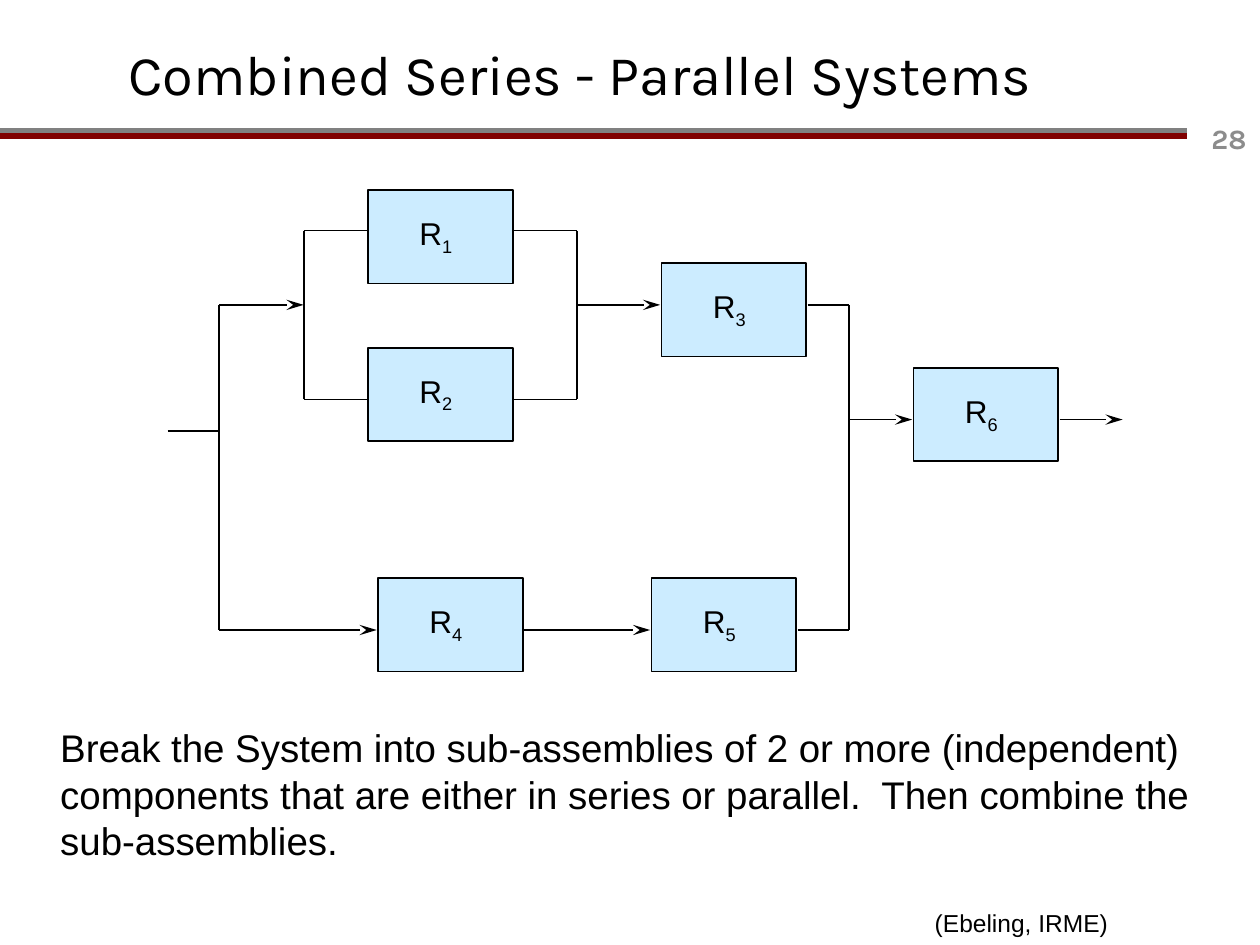
from pptx import Presentation, util as u
from pptx.dml.color import RGBColor
from pptx.enum import shapes, text
from pptx.oxml.ns import qn
from lxml import etree

# Content
TITLE = "Combined Series - Parallel Systems"
PAGE = "28"
ADVICE = ("Break the System into sub-assemblies of 2 or more (independent) "
          "components that are either in series or parallel.  "
          "Then combine the sub-assemblies.")
CREDIT = "(Ebeling, IRME)"

# Block size and the left, top of each block, by subscript
BLOCK_W, BLOCK_H = 1.15, 0.74
BLOCKS = {"1": (2.92, 1.51), "2": (2.92, 2.76), "3": (5.25, 2.09),
          "4": (3, 4.59), "5": (5.17, 4.59), "6": (7.25, 2.92)}

# Wiring levels and the x of each junction
FIRST, UPPER, SECOND, EXIT, ENTRY, LOWER = 1.83, 2.42, 3.17, 3.33, 3.42, 5
SPLIT, FORK, JOIN, MERGE = 1.74, 2.41, 4.58, 6.74
GAP = 0.01


def before(block):
    return BLOCKS[block][0] - GAP


def after(block):
    return BLOCKS[block][0] + BLOCK_W + GAP


JUNCTIONS = [(SPLIT, UPPER, LOWER), (FORK, FIRST, SECOND),
             (JOIN, FIRST, SECOND), (MERGE, UPPER, LOWER)]
WIRES = [  # level, start, end
    (ENTRY, 1.33, SPLIT),
    (FIRST, FORK, before("1")), (SECOND, FORK, before("2")),
    (FIRST, after("1"), JOIN), (SECOND, after("2"), JOIN),
    (UPPER, after("3"), MERGE), (LOWER, after("5"), MERGE)]
ARROWS = [
    (UPPER, SPLIT, FORK), (UPPER, JOIN, before("3")),
    (LOWER, SPLIT, before("4")), (LOWER, after("4"), before("5")),
    (EXIT, MERGE, before("6")), (EXIT, after("6"), 8.91)]
RULES = [(1.04, "808080"), (1.08, "800000")]


def color(hex_code):
    return RGBColor.from_string(hex_code)


def inches(*lengths):
    return [u.Inches(length) for length in lengths]


def write(frame, runs, size, face="Arial", ink="000000", bold=False,
          align=text.PP_ALIGN.LEFT, **frame_format):
    """Fill a frame with (words, baseline) runs."""
    for key, value in frame_format.items():
        setattr(frame, key, value)
    paragraph = frame.paragraphs[0]
    paragraph.alignment = align
    for words, baseline in runs:
        run = paragraph.add_run()
        run.text = words
        for key, value in dict(size=u.Pt(size), name=face, bold=bold).items():
            setattr(run.font, key, value)
        run.font.color.rgb = color(ink)
        if baseline:
            run._r.get_or_add_rPr().set("baseline", str(baseline * 1000))


def draw_line(slide, x1, y1, x2, y2, ink="000000", width=1, arrow=False):
    line = slide.shapes.add_connector(shapes.MSO_CONNECTOR.STRAIGHT,
                                      *inches(x1, y1, x2, y2))
    line.line.color.rgb = color(ink)
    line.line.width = u.Pt(width)
    properties = line._element.spPr
    if arrow:
        etree.SubElement(properties.find(qn("a:ln")), qn("a:tailEnd"),
                         type="stealth", w="med", len="lg")
    etree.SubElement(properties, qn("a:effectLst"))


def draw_block(slide, subscript, left, top):
    group = slide.shapes.add_group_shape().shapes
    block = group.add_shape(shapes.MSO_SHAPE.RECTANGLE,
                            *inches(left, top, BLOCK_W, BLOCK_H))
    block.shadow.inherit = False
    block.fill.solid()
    block.fill.fore_color.rgb = color("CCECFF")
    block.line.color.rgb = color("000000")
    block.line.width = u.Pt(1)
    label = group.add_textbox(*inches(left + 0.31, top + 0.14, 0.53, 0.5))
    write(label.text_frame, [("R", 0), (subscript, -25)], 18, word_wrap=False)


def main():
    deck = Presentation()
    deck.slide_width, deck.slide_height = inches(10, 7.5)
    slide = deck.slides.add_slide(deck.slide_layouts[5])

    # Header: double rule, page number, title
    for y, ink in RULES:
        draw_line(slide, 0, y, 9.42, y, ink, 3)
    page = slide.shapes.add_textbox(*inches(9.17, 0.9, 0.82, 0.4))
    write(page.text_frame, [(PAGE, 0)], 16, "Karla", "8C8C8C", True,
          text.PP_ALIGN.RIGHT, word_wrap=True,
          vertical_anchor=text.MSO_ANCHOR.MIDDLE)
    title = slide.shapes.title
    title.left, title.top, title.width, title.height = inches(
        0.92, 0.12, 8.17, 0.92)
    write(title.text_frame, [(TITLE, 0)], 32, "Karla", word_wrap=True,
          vertical_anchor=text.MSO_ANCHOR.MIDDLE)

    # Reliability block diagram
    for subscript, corner in BLOCKS.items():
        draw_block(slide, subscript, *corner)
    for x, top, bottom in JUNCTIONS:
        draw_line(slide, x, top, x, bottom)
    for wires, arrow in ((WIRES, False), (ARROWS, True)):
        for y, start, end in wires:
            draw_line(slide, start, y, end, y, arrow=arrow)

    # Advice and credit
    advice = slide.shapes.add_textbox(*inches(0.38, 5.7, 9.23, 1.21))
    write(advice.text_frame, [(ADVICE, 0)], 22, word_wrap=True)
    credit = slide.shapes.add_textbox(*inches(7.32, 7.16, 1.59, 0.34))
    write(credit.text_frame, [(CREDIT, 0)], 14, word_wrap=False)

    deck.save("out.pptx")


if __name__ == "__main__":
    main()
